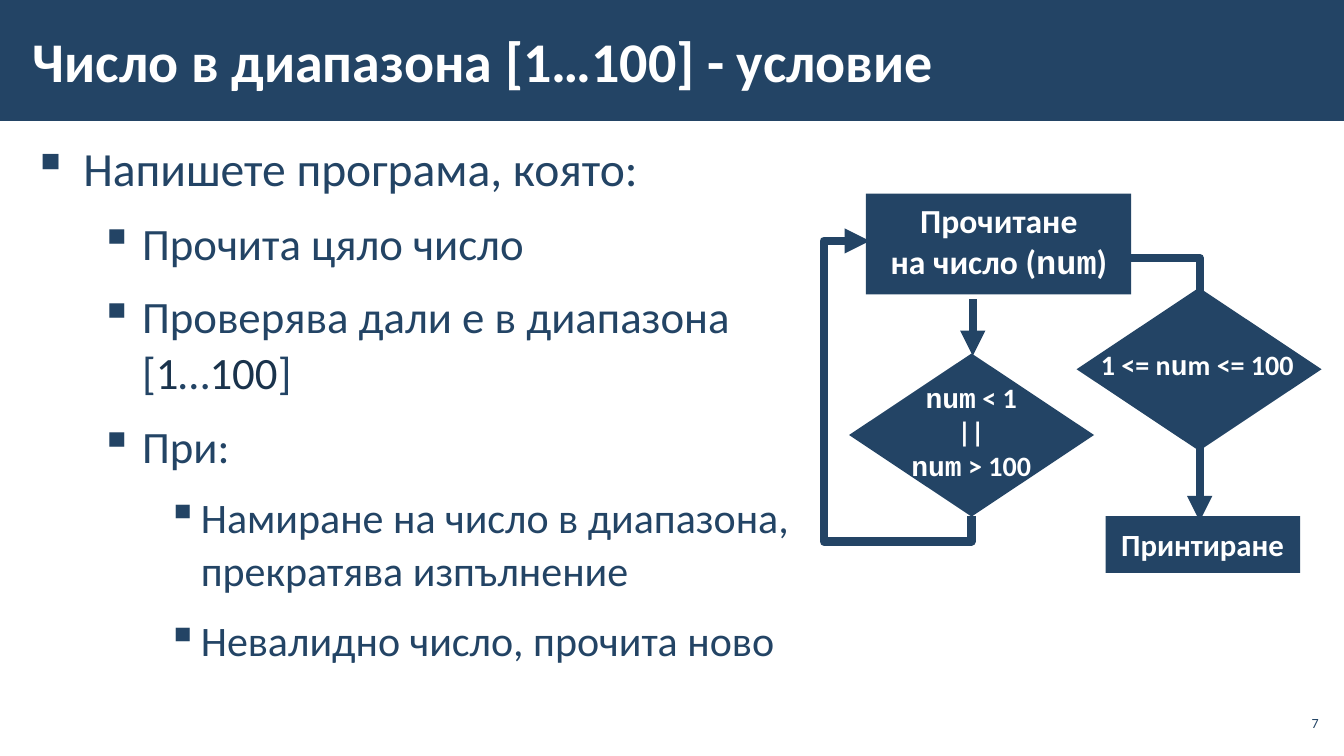
"""Build the slide about reading a number in the range [1…100]."""
from dataclasses import dataclass

from lxml.etree import SubElement
from pptx import Presentation
from pptx.dml.color import RGBColor
from pptx.enum.shapes import MSO_CONNECTOR, MSO_SHAPE
from pptx.enum.text import MSO_ANCHOR, PP_ALIGN
from pptx.oxml.ns import qn
from pptx.util import Pt

COLORS = {"navy": "234465", "dark": "1A334C", "white": "FFFFFF"}
SANS, MONO = "Calibri", "Courier New"


@dataclass(frozen=True)
class Span:
    text: str
    color: str = "navy"
    font: str = SANS


@dataclass(frozen=True)
class Style:
    size: float
    bold: bool = False
    align: PP_ALIGN = PP_ALIGN.LEFT


@dataclass(frozen=True)
class Level:
    size: float
    margin: float
    indent: float


@dataclass(frozen=True)
class Block:
    kind: MSO_SHAPE
    box: tuple[float, float, float, float]


@dataclass(frozen=True)
class Label:
    box: tuple[float, float, float, float]
    size: float
    spans: tuple[Span, ...]


@dataclass(frozen=True)
class Arrow:
    preset: str
    box: tuple[float, float, float, float]
    turn: int = 0
    bends: tuple[int, ...] = ()


def white(text: str, font: str = SANS) -> Span:
    return Span(text, "white", font)


LEVELS = (Level(34, 36, -36), Level(32, 78, -30), Level(30, 120, -24))
TASKS = (
    (0, (Span("Напишете програма, която:"),)),
    (1, (Span("Прочита цяло число"),)),
    (1, (Span("Проверява дали е в диапазона\n["), Span("1", "dark"), Span("…"),
         Span("100", "dark"), Span("]"))),
    (1, (Span("При:"),)),
    (2, (Span("Намиране на число в диапазона,\nпрекратява изпълнение"),)),
    (2, (Span("Невалидно число, прочита ново"),)),
)
BLOCKS = (
    Block(MSO_SHAPE.RECTANGLE, (0, 0, 960, 86.4)),
    Block(MSO_SHAPE.FLOWCHART_DECISION, (769, 205.5, 175, 116.5)),
    Block(MSO_SHAPE.FLOWCHART_DECISION, (606.5, 252.5, 175, 116.5)),
    Block(MSO_SHAPE.RECTANGLE, (618.5, 138.3, 189.5, 72)),
    Block(MSO_SHAPE.RECTANGLE, (789.8, 368.7, 139, 40.5)),
)
LABELS = (
    Label((621.5, 139.5, 184, 65.5), 24,
          (white("Прочитане\nна число ("), white("num", MONO), white(")"))),
    Label((785.5, 372.3, 147, 34), 22, (white("Принтиране"),)),
    Label((615, 268.5, 157.5, 80), 20,
          (white("num", MONO), white(" < 1\n||\n"), white("num", MONO), white(" > 100"))),
    Label((765.5, 244.8, 175, 31.5), 20,
          (white(" 1 <= n"), white("u", MONO), white("m <= 100"))),
)
ARROWS = (
    Arrow("bentConnector3", (734.4, 249.8, 188, 57), 270, (0,)),
    Arrow("bentConnector4", (559.4, 234, 196.5, 72.7), 90, (-9200, 145200)),
    Arrow("line", (694.8, 213.8, 0, 40.4)),
)


def rgb(name: str) -> RGBColor:
    return RGBColor.from_string(COLORS[name])


def write(paragraph, spans: tuple[Span, ...], style: Style) -> None:
    paragraph.alignment = style.align
    for span in spans:
        for number, line in enumerate(span.text.split("\n")):
            if number:
                paragraph.add_line_break()
            if not line:
                continue
            run = paragraph.add_run()
            run.text = line
            run.font.name = span.font
            run.font.size = Pt(style.size)
            run.font.bold = style.bold
            run.font.color.rgb = rgb(span.color)


def add_frame(slide, box: tuple[float, ...], side: float = 7.2, edge: float = 3.6,
              anchor: MSO_ANCHOR = MSO_ANCHOR.TOP):
    frame = slide.shapes.add_textbox(*map(Pt, box)).text_frame
    frame.word_wrap = True
    frame.vertical_anchor = anchor
    frame.margin_left = frame.margin_right = Pt(side)
    frame.margin_top = frame.margin_bottom = Pt(edge)
    return frame


def add_tasks(slide) -> None:
    frame = add_frame(slide, (15, 94.3, 930, 409.7), 8.5, 2.8)
    for number, (depth, spans) in enumerate(TASKS):
        task = frame.add_paragraph() if number else frame.paragraphs[0]
        level = LEVELS[depth]
        task.level = depth
        task.line_spacing = 1.05
        task.space_before = task.space_after = Pt(6)
        write(task, spans, Style(level.size))
        properties = task._p.get_or_add_pPr()
        properties.set("marL", str(Pt(level.margin)))
        properties.set("indent", str(Pt(level.indent)))
        SubElement(properties, qn("a:buChar")).set("char", "▪")


def add_block(slide, block: Block) -> None:
    shape = slide.shapes.add_shape(block.kind, *map(Pt, block.box))
    shape.shadow.inherit = False
    shape.fill.solid()
    shape.fill.fore_color.rgb = rgb("navy")
    shape.line.fill.background()


def add_arrow(slide, arrow: Arrow) -> None:
    left, top, width, height = arrow.box
    connector = slide.shapes.add_connector(
        MSO_CONNECTOR.STRAIGHT, Pt(left), Pt(top), Pt(left + width), Pt(top + height))
    connector.line.color.rgb = rgb("navy")
    connector.line.width = Pt(6)
    properties = connector._element.spPr
    if arrow.turn:
        frame = properties.find(qn("a:xfrm"))
        frame.set("rot", str(arrow.turn * 60000))
        frame.set("flipH", "1")
    geometry = properties.find(qn("a:prstGeom"))
    geometry.set("prst", arrow.preset)
    guides = geometry.find(qn("a:avLst"))
    for number, bend in enumerate(arrow.bends, 1):
        guide = SubElement(guides, qn("a:gd"))
        guide.set("name", f"adj{number}")
        guide.set("fmla", f"val {bend}")
    SubElement(properties.find(qn("a:ln")), qn("a:tailEnd")).set("type", "triangle")
    SubElement(properties, qn("a:effectLst"))


def main() -> None:
    deck = Presentation()
    deck.slide_width, deck.slide_height = Pt(960), Pt(540)
    slide = deck.slides.add_slide(deck.slide_layouts[6])
    for block in BLOCKS:
        add_block(slide, block)
    for arrow in ARROWS:
        add_arrow(slide, arrow)
    title = add_frame(slide, (15, 8, 748, 70), 8.5, 2.8, MSO_ANCHOR.MIDDLE)
    write(title.paragraphs[0], (white("Число в диапазона [1…100] - условие"),),
          Style(40, True))
    add_tasks(slide)
    for label in LABELS:
        write(add_frame(slide, label.box).paragraphs[0], label.spans,
              Style(label.size, True, PP_ALIGN.CENTER))
    page = add_frame(slide, (911, 504, 33.8, 24.5), 2.8, 2.8, MSO_ANCHOR.MIDDLE)
    write(page.paragraphs[0], (Span("7"),), Style(10, align=PP_ALIGN.RIGHT))
    deck.save("out.pptx")


if __name__ == "__main__":
    main()
